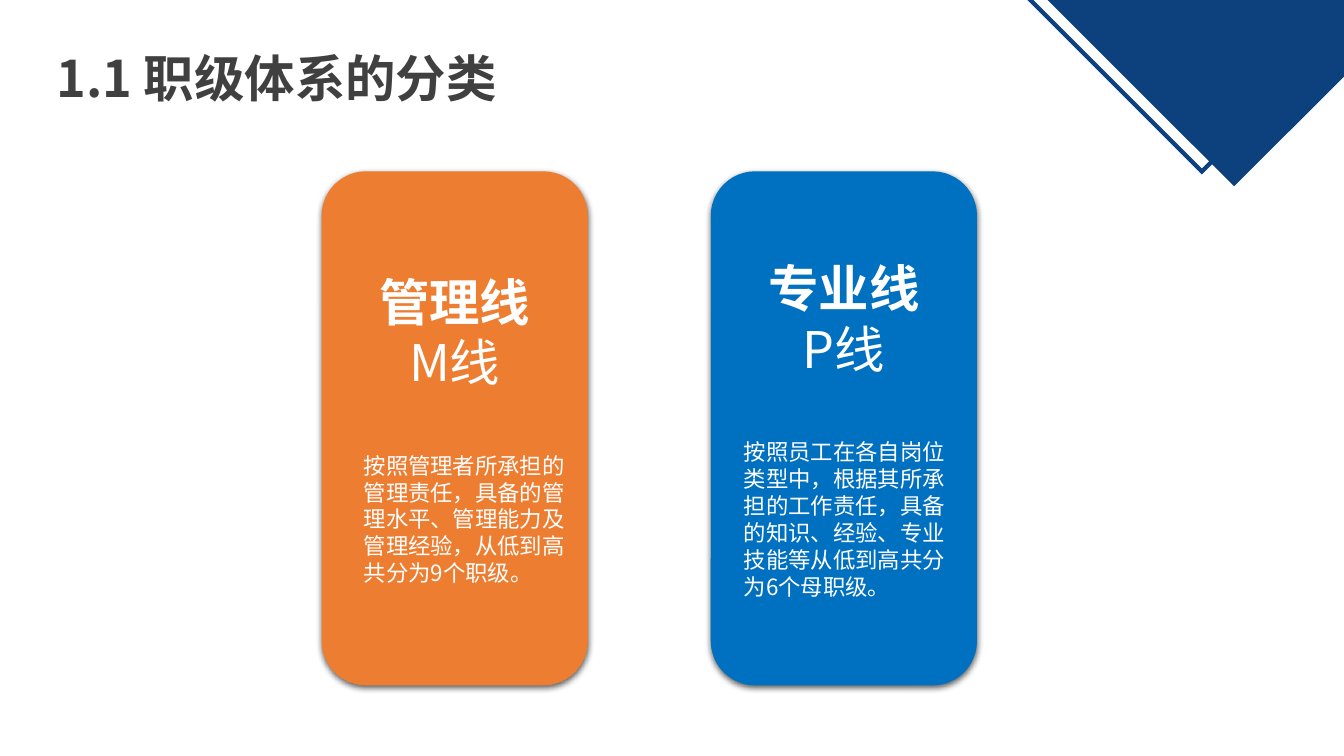
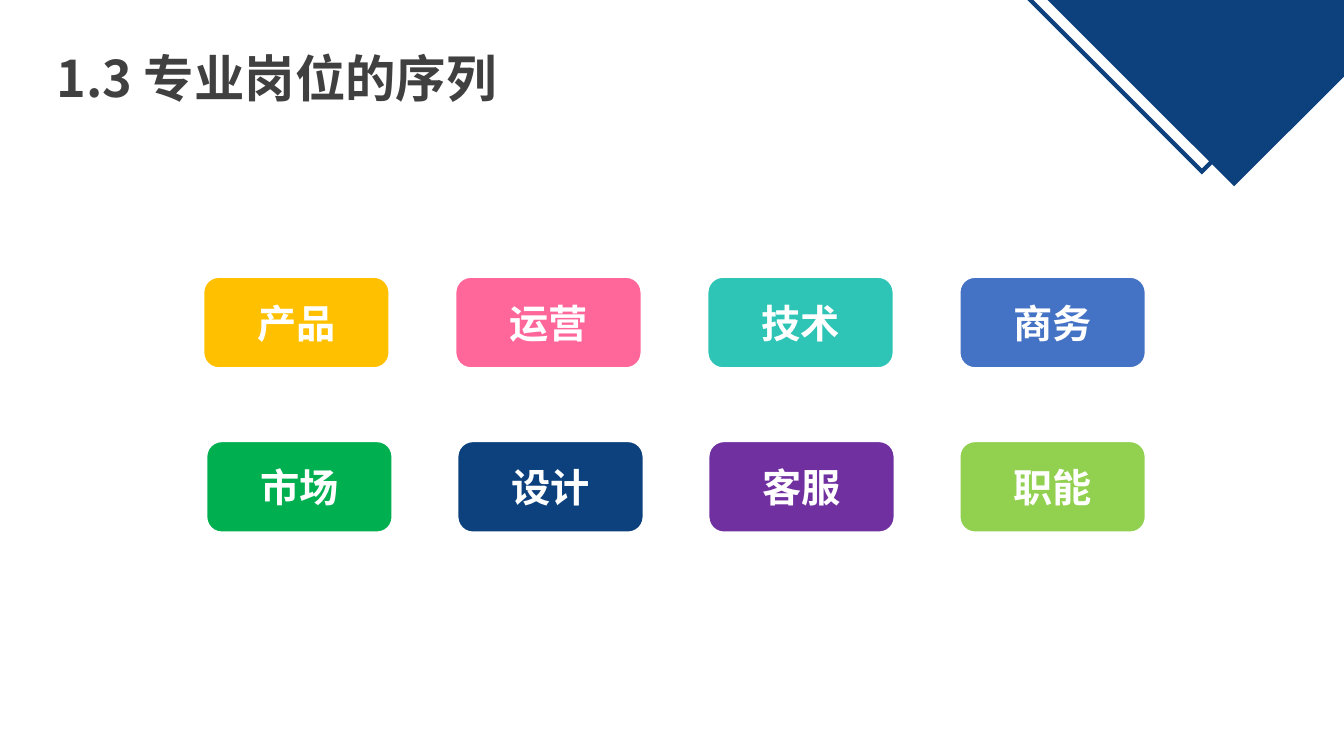
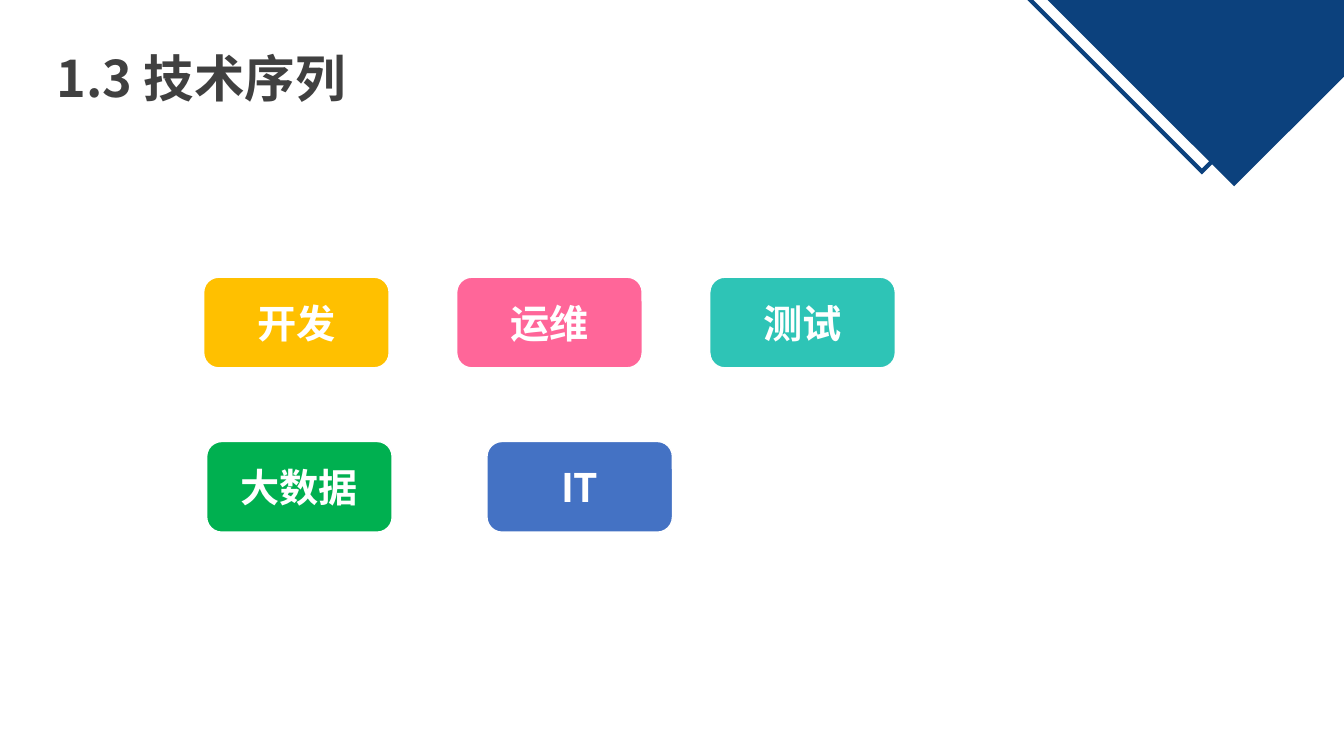
from dataclasses import dataclass

from lxml import etree
from pptx import Presentation
from pptx.dml.color import RGBColor
from pptx.enum import shapes, text
from pptx.oxml.ns import qn
from pptx.util import Inches, Pt


@dataclass(frozen=True)
class Theme:
    font: str = "Noto Sans CJK SC"
    navy: str = "0C417D"
    ink: str = "404040"
    white: str = "FFFFFF"
    orange: str = "ED7D31"
    blue: str = "0070C0"
    yellow: str = "FFC000"
    pink: str = "FF6699"
    teal: str = "2EC4B6"
    indigo: str = "4472C4"
    green: str = "00B050"
    purple: str = "7030A0"
    lime: str = "92D050"
    title_pt: int = 36
    block_pt: int = 28
    body_pt: int = 16


T = Theme()
BLOCK_W, BLOCK_H = 1.84, 0.9


def rgb(colour):
    return RGBColor.from_string(colour)


def write(p, words, size, colour=T.white, bold=False):
    r = p.add_run()
    r.text = words
    r.font.size, r.font.bold, r.font.name = Pt(size), bold, T.font
    r.font.color.rgb = rgb(colour)
    etree.SubElement(r.font._element, qn("a:ea"), typeface=T.font)


def add_box(s, kind, box, fill=None, line=None, line_pt=1):
    sp = s.shapes.add_shape(kind, *map(Inches, box))
    sp.shadow.inherit = False
    if fill:
        sp.fill.solid()
        sp.fill.fore_color.rgb = rgb(fill)
    else:
        sp.fill.background()
    if line:
        sp.line.color.rgb = rgb(line)
        sp.line.width = Pt(line_pt)
    else:
        sp.line.fill.background()
    return sp


def add_corner(s, left, top, size):
    """Outlined square behind a solid one, both turned to stand on a corner."""
    for x, fill, line_pt in ((left, None, 3), (left + 0.32, T.navy, 15)):
        sp = add_box(s, shapes.MSO_SHAPE.RECTANGLE, (x, top, size, size),
                     fill, T.navy, line_pt)
        sp.rotation = 45
        etree.SubElement(sp.line._get_or_add_ln(), qn("a:miter"), lim="800000")


def add_slide(prs, title, title_w=4.65):
    s = prs.slides.add_slide(prs.slide_layouts[5])
    add_corner(s, 10.2, -2.45, 3.44)
    sp = s.shapes.title
    sp.left, sp.top, sp.width, sp.height = map(Inches, (0.46, 0.42, title_w, 0.71))
    tf = sp.text_frame
    tf.word_wrap = True
    tf.auto_size = text.MSO_AUTO_SIZE.SHAPE_TO_FIT_TEXT
    tf.vertical_anchor = text.MSO_ANCHOR.TOP
    p = tf.paragraphs[0]
    p.alignment = text.PP_ALIGN.LEFT
    p.line_spacing = 1.0
    write(p, title, T.title_pt, T.ink, True)
    return s


def add_soft_shadow(sp):
    effects = sp._element.spPr.find(qn("a:effectLst"))
    shadow = etree.SubElement(effects, qn("a:outerShdw"), blurRad=str(Pt(4.5)),
                              dist=str(Pt(1.5)), dir="5400000", rotWithShape="0")
    colour = etree.SubElement(shadow, qn("a:srgbClr"), val="000000")
    etree.SubElement(colour, qn("a:alpha"), val="63000")


def add_track_card(s, box, fill, name, code, description, indent):
    sp = add_box(s, shapes.MSO_SHAPE.ROUNDED_RECTANGLE, box, fill)
    add_soft_shadow(sp)
    tf = sp.text_frame
    tf.word_wrap = True
    tf.vertical_anchor = text.MSO_ANCHOR.MIDDLE
    heading, subheading, body = tf.paragraphs[0], tf.add_paragraph(), tf.add_paragraph()
    heading.alignment = subheading.alignment = text.PP_ALIGN.CENTER
    write(heading, name, T.title_pt, bold=True)
    write(subheading, code, T.title_pt)
    body.alignment = text.PP_ALIGN.LEFT
    body.space_before = Pt(43)
    body._p.get_or_add_pPr().set("marL", str(Inches(indent)))
    write(body, description, T.body_pt)


def add_block_row(s, left, top, step, blocks):
    for i, (label, fill) in enumerate(blocks):
        sp = add_box(s, shapes.MSO_SHAPE.ROUNDED_RECTANGLE,
                     (left + i * step, top, BLOCK_W, BLOCK_H), fill, T.white)
        tf = sp.text_frame
        tf.word_wrap = True
        tf.vertical_anchor = text.MSO_ANCHOR.MIDDLE
        p = tf.paragraphs[0]
        p.alignment = text.PP_ALIGN.CENTER
        write(p, label, T.block_pt, bold=True)


def build_tracks(prs):
    s = add_slide(prs, "1.1 职级体系的分类")
    add_track_card(s, (3.19, 1.7, 2.64, 5.1), T.orange, "管理线", "M线",
                   "按照管理者所承担的管理责任，具备的管理水平、管理能力及管理经验，"
                   "从低到高共分为9个职级。", 0.19)
    add_track_card(s, (7.05, 1.7, 2.64, 5.1), T.blue, "专业线", "P线",
                   "按照员工在各自岗位类型中，根据其所承担的工作责任，具备的知识、经验、"
                   "专业技能等从低到高共分为6个母职级。", 0.1)


def build_job_families(prs):
    s = add_slide(prs, "1.3 专业岗位的序列")
    add_block_row(s, 2.02, 2.75, 2.5, (("产品", T.yellow), ("运营", T.pink),
                                       ("技术", T.teal), ("商务", T.indigo)))
    add_block_row(s, 2.05, 4.38, 2.49, (("市场", T.green), ("设计", T.navy),
                                        ("客服", T.purple), ("职能", T.lime)))


def build_tech_family(prs):
    s = add_slide(prs, "1.3 技术序列", 3.14)
    add_block_row(s, 2.02, 2.75, 2.51, (("开发", T.yellow), ("运维", T.pink),
                                        ("测试", T.teal)))
    add_block_row(s, 2.05, 4.38, 2.78, (("大数据", T.green), ("IT", T.indigo)))


def main():
    prs = Presentation()
    prs.slide_width, prs.slide_height = Inches(13.33), Inches(7.5)
    build_tracks(prs)
    build_job_families(prs)
    build_tech_family(prs)
    prs.save("out.pptx")


if __name__ == "__main__":
    main()
